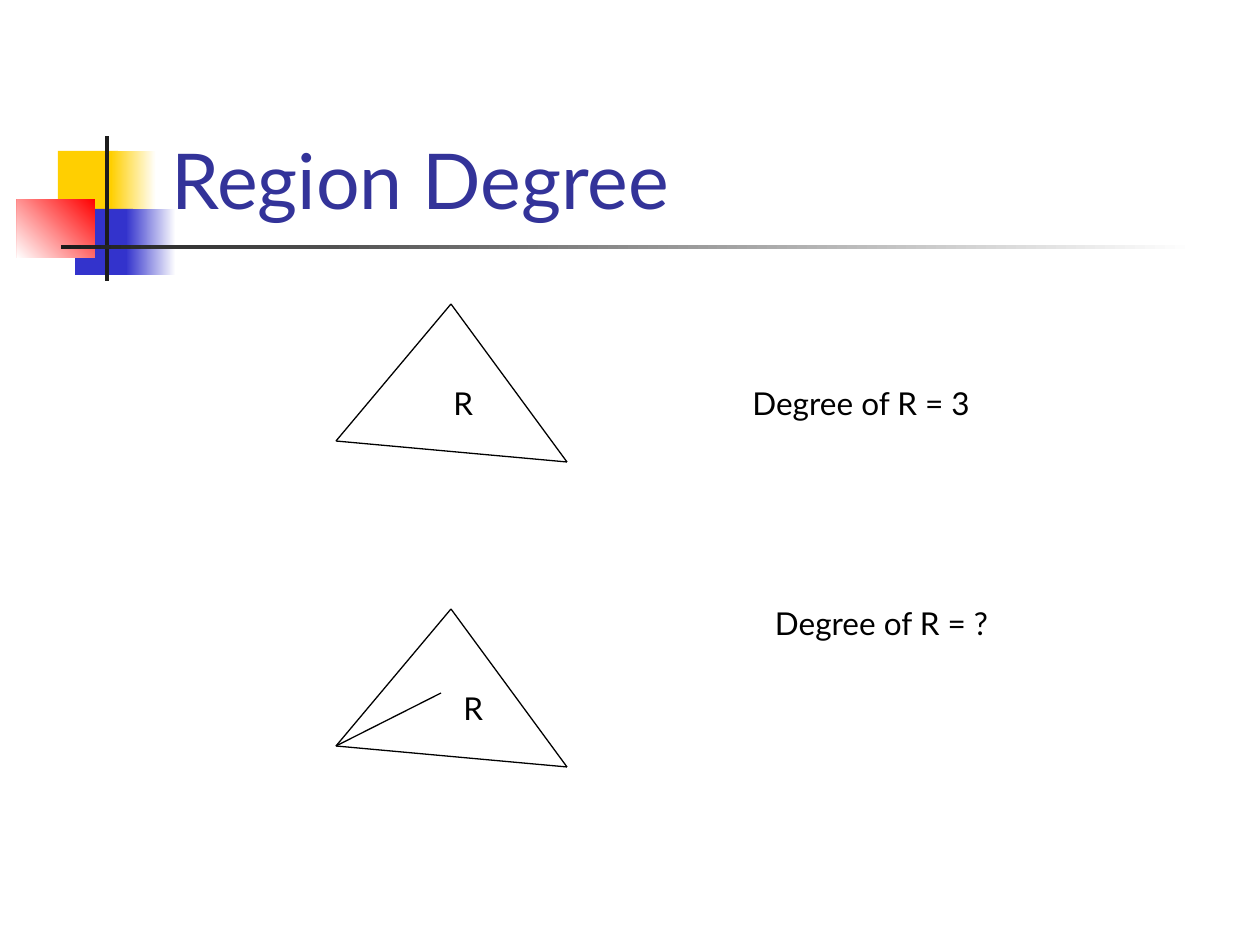
"""Build the Region Degree slide."""
import typing
from dataclasses import dataclass

import lxml.etree
import pptx
import pptx.dml.color
import pptx.enum.shapes
import pptx.enum.text
import pptx.oxml.ns
import pptx.util

SCALE = 914400 / 126


@dataclass(frozen=True)
class Theme:
    font: str = "Lato"
    head: int = 44
    body: int = 18
    line: float = 0.75
    white: str = "FFFFFF"
    black: str = "000000"
    title: str = "333399"
    gold: str = "FFCF01"
    blue: str = "3333CC"
    red: str = "FF0000"
    dark: str = "1C1C1C"


THEME = Theme()


class Point(typing.NamedTuple):
    x: int
    y: int


class Box(typing.NamedTuple):
    x: int
    y: int
    w: int
    h: int


class Block(typing.NamedTuple):
    box: Box
    fill: str
    fade: typing.Optional[str] = None
    angle: int = 180


class Label(typing.NamedTuple):
    box: Box
    text: str


BLOCKS = [
    Block(Box(58, 151, 60, 66), THEME.gold),
    Block(Box(111, 151, 45, 66), THEME.white, THEME.gold),
    Block(Box(75, 209, 58, 66), THEME.blue),
    Block(Box(126, 209, 50, 66), THEME.white, THEME.blue),
    Block(Box(17, 199, 78, 59), THEME.red, THEME.white, 225),
    Block(Box(105, 136, 4, 145), THEME.dark),
    Block(Box(61, 245, 1134, 4), THEME.white, THEME.dark),
]
TITLE = Label(Box(159, 29, 1074, 202), "Region Degree")
LABELS = [
    Label(Box(441, 378, 44, 50), "R"),
    Label(Box(451, 683, 44, 50), "R"),
    Label(Box(735, 378, 252, 50), "Degree of R = 3"),
    Label(Box(758, 598, 247, 50), "Degree of R = ?"),
]
APEX, LEFT, RIGHT = Point(451, 304), Point(336, 441), Point(567, 462)
SIDES = [(APEX, LEFT), (APEX, RIGHT), (LEFT, RIGHT)]
SPUR = (LEFT, Point(441, 388))
DROP = 305


def px(size: int) -> int:
    return round(size * SCALE)


def place(box: Box) -> typing.List[int]:
    return [px(size) for size in box]


def paint(code: str) -> pptx.dml.color.RGBColor:
    return pptx.dml.color.RGBColor.from_string(code)


def draw_block(slide: typing.Any, block: Block) -> None:
    shape = slide.shapes.add_shape(
        pptx.enum.shapes.MSO_SHAPE.RECTANGLE, *place(block.box))
    shape.shadow.inherit = False
    shape.line.fill.background()
    if block.fade is None:
        shape.fill.solid()
        shape.fill.fore_color.rgb = paint(block.fill)
        return
    shape.fill.gradient()
    shape.fill.gradient_angle = block.angle
    for stop, code in zip(shape.fill.gradient_stops, (block.fill, block.fade)):
        stop.color.rgb = paint(code)


def draw_line(slide: typing.Any, start: Point, end: Point, drop: int) -> None:
    line = slide.shapes.add_connector(
        pptx.enum.shapes.MSO_CONNECTOR.STRAIGHT,
        px(start.x), px(start.y + drop), px(end.x), px(end.y + drop))
    line.line.color.rgb = paint(THEME.black)
    line.line.width = pptx.util.Pt(THEME.line)
    lxml.etree.SubElement(line.element.spPr, pptx.oxml.ns.qn("a:effectLst"))


def draw_text(slide: typing.Any, label: Label, size: int, code: str) -> typing.Any:
    frame = slide.shapes.add_textbox(*place(label.box)).text_frame
    run = frame.paragraphs[0].add_run()
    run.text = label.text
    run.font.name = THEME.font
    run.font.size = pptx.util.Pt(size)
    run.font.color.rgb = paint(code)
    return frame


def main() -> None:
    deck = pptx.Presentation()
    deck.slide_width, deck.slide_height = px(1260), px(945)
    slide = deck.slides.add_slide(deck.slide_layouts[6])
    for block in BLOCKS:
        draw_block(slide, block)
    title = draw_text(slide, TITLE, THEME.head, THEME.title)
    title.word_wrap = True
    title.vertical_anchor = pptx.enum.text.MSO_ANCHOR.BOTTOM
    for drop, lines in ((0, SIDES), (DROP, SIDES + [SPUR])):
        for start, end in lines:
            draw_line(slide, start, end, drop)
    for label in LABELS:
        frame = draw_text(slide, label, THEME.body, THEME.black)
        frame.word_wrap = False
        frame.auto_size = pptx.enum.text.MSO_AUTO_SIZE.SHAPE_TO_FIT_TEXT
        frame.paragraphs[0].alignment = pptx.enum.text.PP_ALIGN.CENTER
    deck.save("out.pptx")


if __name__ == "__main__":
    main()
